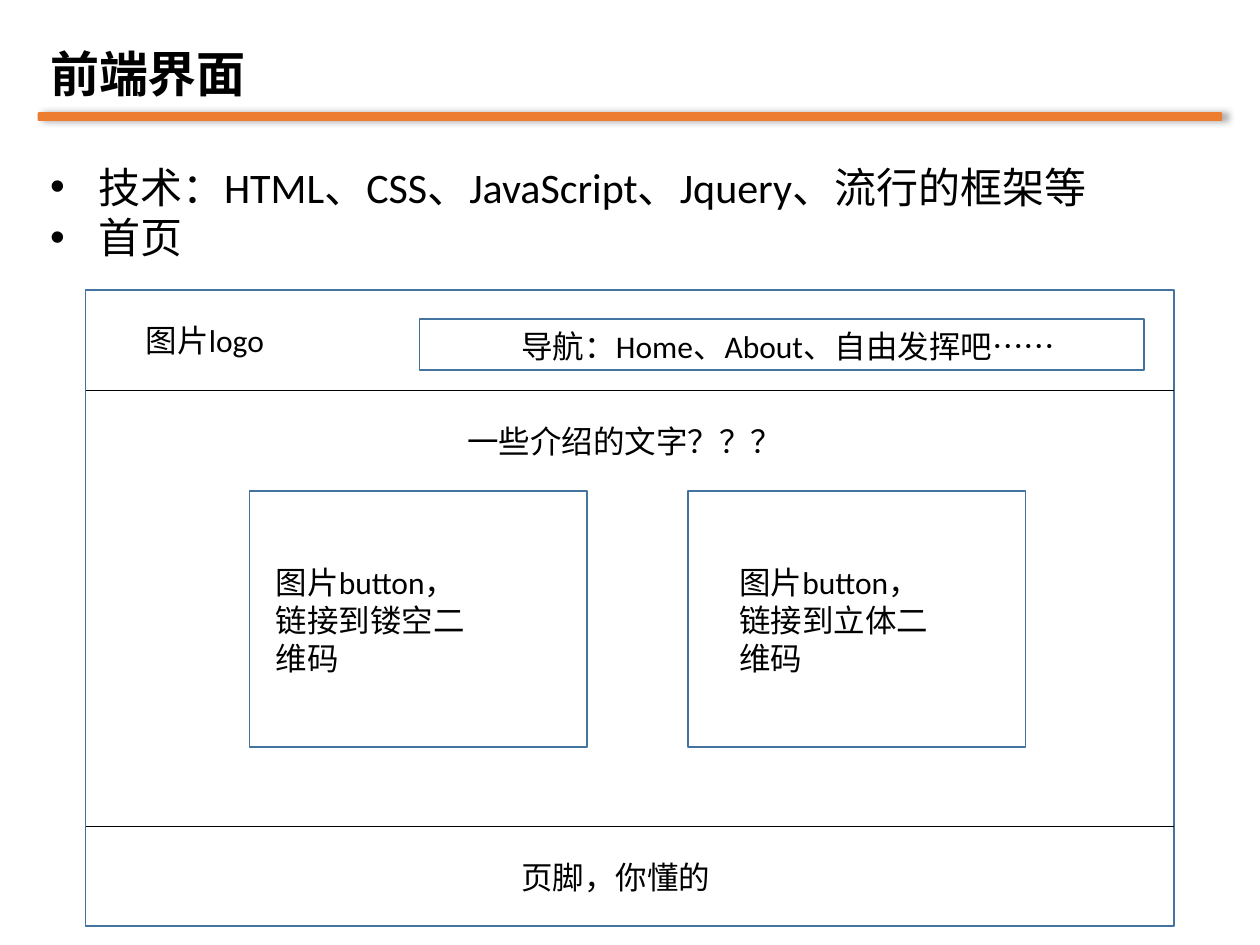
"""Build a slide that sketches the home page of a website front end."""
from dataclasses import dataclass

from lxml import etree
from pptx import Presentation
from pptx.dml.color import RGBColor
from pptx.enum import shapes, text
from pptx.oxml import ns
from pptx.util import Inches, Pt


@dataclass(frozen=True)
class Theme:
    font: str = "Calibri"
    ink: RGBColor = RGBColor(0x00, 0x00, 0x00)
    accent: RGBColor = RGBColor(0xED, 0x7D, 0x31)
    outline: RGBColor = RGBColor(0x43, 0x73, 0x9E)
    paper: RGBColor = RGBColor(0xFF, 0xFF, 0xFF)
    title_size: int = 28
    bullet_size: int = 24
    label_size: int = 18


@dataclass(frozen=True)
class Area:
    left: float
    top: float
    width: float
    height: float

    def lengths(self) -> list:
        return [Inches(n) for n in (self.left, self.top, self.width, self.height)]


@dataclass(frozen=True)
class Label:
    words: str
    area: Area


THEME = Theme()
BROWSER = Area(0.68, 2.3, 8.64, 5.05)
NAVIGATION = Area(3.33, 2.53, 5.75, 0.41)
CARDS = [Area(left, 3.9, 2.68, 2.03) for left in (1.98, 5.46)]
DIVIDERS = (3.1, 6.56)
TITLE = Label("前端界面", Area(0.3, 0.3, 3.9, 0.57))
BULLETS = ("技术：HTML、CSS、JavaScript、Jquery、流行的框架等", "首页")
LABELS = (
    Label("图片logo", Area(1.06, 2.5, 1.25, 0.4)),
    Label("导航：Home、About、自由发挥吧……", Area(4.04, 2.55, 5.22, 0.4)),
    Label("一些介绍的文字？？？", Area(3.61, 3.3, 2.79, 0.4)),
    Label("图片button，链接到镂空二维码", Area(2.09, 4.42, 1.85, 1.01)),
    Label("图片button，链接到立体二维码", Area(5.77, 4.42, 1.85, 1.01)),
    Label("页脚，你懂的", Area(4.04, 6.76, 1.8, 0.4)),
)


def add_child(parent, tag: str, **attributes: str):
    return etree.SubElement(parent, ns.qn(tag), attributes)


def add_text_frame(page, area: Area):
    frame = page.shapes.add_textbox(*area.lengths()).text_frame
    frame.word_wrap = True
    frame.auto_size = text.MSO_AUTO_SIZE.SHAPE_TO_FIT_TEXT
    return frame


def add_span(para, words: str, size: int, bold: bool = False) -> None:
    span = para.add_run()
    span.text = words
    span.font.name = THEME.font
    span.font.size = Pt(size)
    span.font.bold = bold
    span.font.color.rgb = THEME.ink


def add_label(page, label: Label, size: int, bold: bool = False) -> None:
    frame = add_text_frame(page, label.area)
    add_span(frame.paragraphs[0], label.words, size, bold)


def add_bullets(page, area: Area) -> None:
    frame = add_text_frame(page, area)
    indent = Inches(0.38)
    for index, words in enumerate(BULLETS):
        para = frame.add_paragraph() if index else frame.paragraphs[0]
        properties = para._p.get_or_add_pPr()
        properties.set("marL", str(indent))
        properties.set("indent", str(-indent))
        add_child(properties, "a:buFont", typeface="Arial")
        add_child(properties, "a:buChar", char="•")
        add_span(para, words, THEME.bullet_size)


def add_outline(page, area: Area) -> None:
    box = page.shapes.add_shape(shapes.MSO_SHAPE.RECTANGLE, *area.lengths())
    box.shadow.inherit = False
    box.fill.background()
    box.line.color.rgb = THEME.outline
    box.line.width = Pt(1)


def add_divider(page, top: float) -> None:
    left, right = BROWSER.left, BROWSER.left + BROWSER.width
    line = page.shapes.add_connector(
        shapes.MSO_CONNECTOR.STRAIGHT,
        Inches(left), Inches(top), Inches(right), Inches(top),
    )
    line.line.color.rgb = THEME.ink
    line.line.width = Pt(0.5)
    add_child(line._element.spPr, "a:effectLst")


def add_title_bar(page, area: Area) -> None:
    bar = page.shapes.add_shape(shapes.MSO_SHAPE.ROUNDED_RECTANGLE, *area.lengths())
    bar.fill.solid()
    bar.fill.fore_color.rgb = THEME.accent
    bar.line.fill.background()
    bar.shadow.inherit = False
    effects = bar._element.spPr.find(ns.qn("a:effectLst"))
    shadow = add_child(
        effects, "a:outerShdw", blurRad=str(Pt(4)), dist=str(Pt(3)),
        dir="0", algn="l", rotWithShape="0",
    )
    color = add_child(shadow, "a:srgbClr", val=str(THEME.ink))
    add_child(color, "a:alpha", val="40000")


def main() -> None:
    deck = Presentation()
    deck.slide_width, deck.slide_height = Inches(10), Inches(7.5)
    page = deck.slides.add_slide(deck.slide_layouts[6])
    page.background.fill.solid()
    page.background.fill.fore_color.rgb = THEME.paper

    add_title_bar(page, Area(0.3, 0.89, 9.4, 0.07))
    add_label(page, TITLE, THEME.title_size, bold=True)
    add_bullets(page, Area(0.3, 1.23, 9.28, 0.91))
    for area in (BROWSER, NAVIGATION, *CARDS):
        add_outline(page, area)
    for top in DIVIDERS:
        add_divider(page, top)
    for label in LABELS:
        add_label(page, label, THEME.label_size)
    deck.save("out.pptx")


if __name__ == "__main__":
    main()
